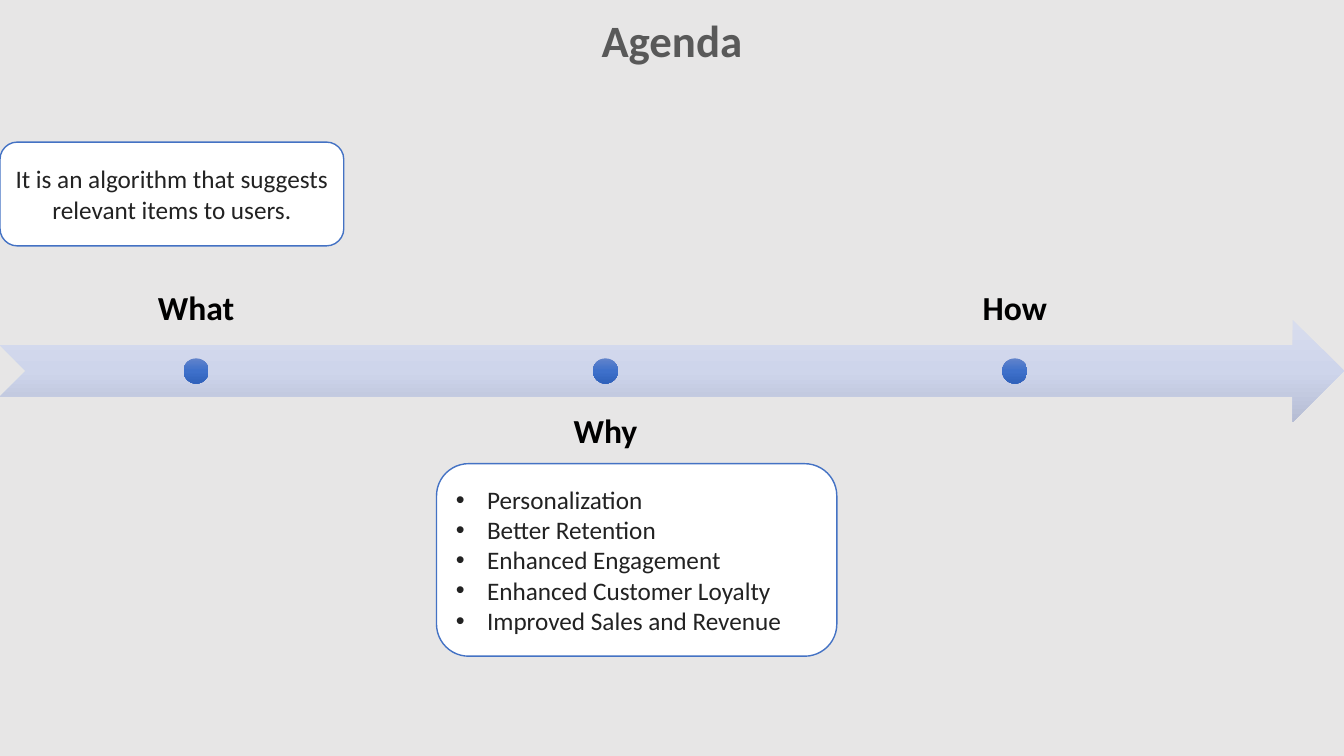
from copy import deepcopy
from lxml.etree import SubElement
from pptx import Presentation
from pptx.dml.color import RGBColor
from pptx.enum.shapes import MSO_SHAPE
from pptx.enum.text import MSO_ANCHOR, PP_ALIGN
from pptx.oxml.ns import qn
from pptx.util import Inches, Pt

# Content
TITLE = "Agenda"
STEPS = [("What", "above"), ("Why", "below"), ("How", "above")]
WHAT = ["It is an algorithm that suggests relevant items to users."]
WHY = [
    "Personalization",
    "Better Retention",
    "Enhanced Engagement",
    "Enhanced Customer Loyalty",
    "Improved Sales and Revenue",
]

# Theme
THEME = {
    "font": "Calibri",
    "back": "E7E6E6", "title": "595959", "label": "000000",
    "body": "222222", "card": "FFFFFF", "edge": "4472C4",
    "arrow": ("D8DDEE", "CED5EB", "B5BCD3"),
    "dot": ("6183CB", "3E70CA", "3062BB"),
    "title_size": 32, "label_size": 24, "body_size": 18,
}

# Layout, in inches
WIDTH, HEIGHT = 13.33, 7.5
BAND_TOP, BAND = 3.17, 1.02
MID = BAND_TOP + BAND / 2
STEP_LEFT, STEP_WIDTH, PITCH = 0.01, 3.87, 4.06
LABEL_TOP = {"above": 2.41, "below": 3.93}
DOT = 0.25
INSET = 0.19
INDENT = 0.31


def color(name):
    return RGBColor.from_string(THEME[name])


def write(shape, lines, kind, anchor, align=PP_ALIGN.CENTER, bold=False):
    frame = shape.text_frame
    frame.word_wrap = True
    frame.vertical_anchor = anchor
    frame.text = "\n".join(lines)
    for para in frame.paragraphs:
        para.alignment = align
        font = para.font
        font.name, font.bold = THEME["font"], bold
        font.size = Pt(THEME[kind + "_size"])
        font.color.rgb = color(kind)
    return frame


def heading(slide, text, box, kind, anchor):
    shape = slide.shapes.add_textbox(*map(Inches, box))
    frame = write(shape, [text], kind, anchor, bold=True)
    frame.paragraphs[0].line_spacing = 0.9
    return frame


def add_form(slide, form, box):
    shape = slide.shapes.add_shape(form, *map(Inches, box))
    shape.shadow.inherit = False
    return shape


def shaded(slide, form, box, kind):
    shape = add_form(slide, form, box)
    shape.line.fill.background()
    fill = shape.fill
    fill.gradient()
    fill.gradient_angle = 270
    # Add a middle stop to the two that are there
    first = shape._element.spPr.find(".//" + qn("a:gs"))
    first.addnext(deepcopy(first))
    for i, stop in enumerate(fill.gradient_stops):
        stop.position = i / 2
        stop.color.rgb = RGBColor.from_string(THEME[kind][i])


def card(slide, box, lines, align):
    shape = add_form(slide, MSO_SHAPE.ROUNDED_RECTANGLE, box)
    shape.fill.solid()
    shape.fill.fore_color.rgb = color("card")
    shape.line.color.rgb = color("edge")
    shape.line.width = Pt(1)
    return write(shape, lines, "body", MSO_ANCHOR.MIDDLE, align)


def bullet(para):
    props = para._p.get_or_add_pPr()
    props.set("marL", str(Inches(INDENT)))
    props.set("indent", str(-Inches(INDENT)))
    mark = SubElement(props, qn("a:buFont"))
    mark.set("typeface", "Arial")
    mark = SubElement(props, qn("a:buChar"))
    mark.set("char", "•")
    # The text defaults must follow the bullet
    props.append(props.find(qn("a:defRPr")))


def main():
    deck = Presentation()
    deck.slide_width, deck.slide_height = Inches(WIDTH), Inches(HEIGHT)
    slide = deck.slides.add_slide(deck.slide_layouts[6])
    slide.background.fill.solid()
    slide.background.fill.fore_color.rgb = color("back")

    # Title
    heading(slide, TITLE, (0, 0, WIDTH, 0.85), "title", MSO_ANCHOR.MIDDLE)

    # Timeline
    band = (0, BAND_TOP, WIDTH, BAND)
    shaded(slide, MSO_SHAPE.NOTCHED_RIGHT_ARROW, band, "arrow")
    for i, (name, side) in enumerate(STEPS):
        left = STEP_LEFT + i * PITCH
        anchor = MSO_ANCHOR.BOTTOM if side == "above" else MSO_ANCHOR.TOP
        box = (left, LABEL_TOP[side], STEP_WIDTH, BAND)
        frame = heading(slide, name, box, "label", anchor)
        frame.margin_left = frame.margin_right = Inches(INSET)
        frame.margin_top = frame.margin_bottom = Inches(INSET)
        spot = (left + (STEP_WIDTH - DOT) / 2, MID - DOT / 2, DOT, DOT)
        shaded(slide, MSO_SHAPE.OVAL, spot, "dot")

    # Cards
    card(slide, (0, 1.41, 3.41, 1.03), WHAT, PP_ALIGN.CENTER)
    frame = card(slide, (4.33, 4.6, 3.97, 1.91), WHY, PP_ALIGN.LEFT)
    for para in frame.paragraphs:
        bullet(para)

    deck.save("out.pptx")


if __name__ == "__main__":
    main()
